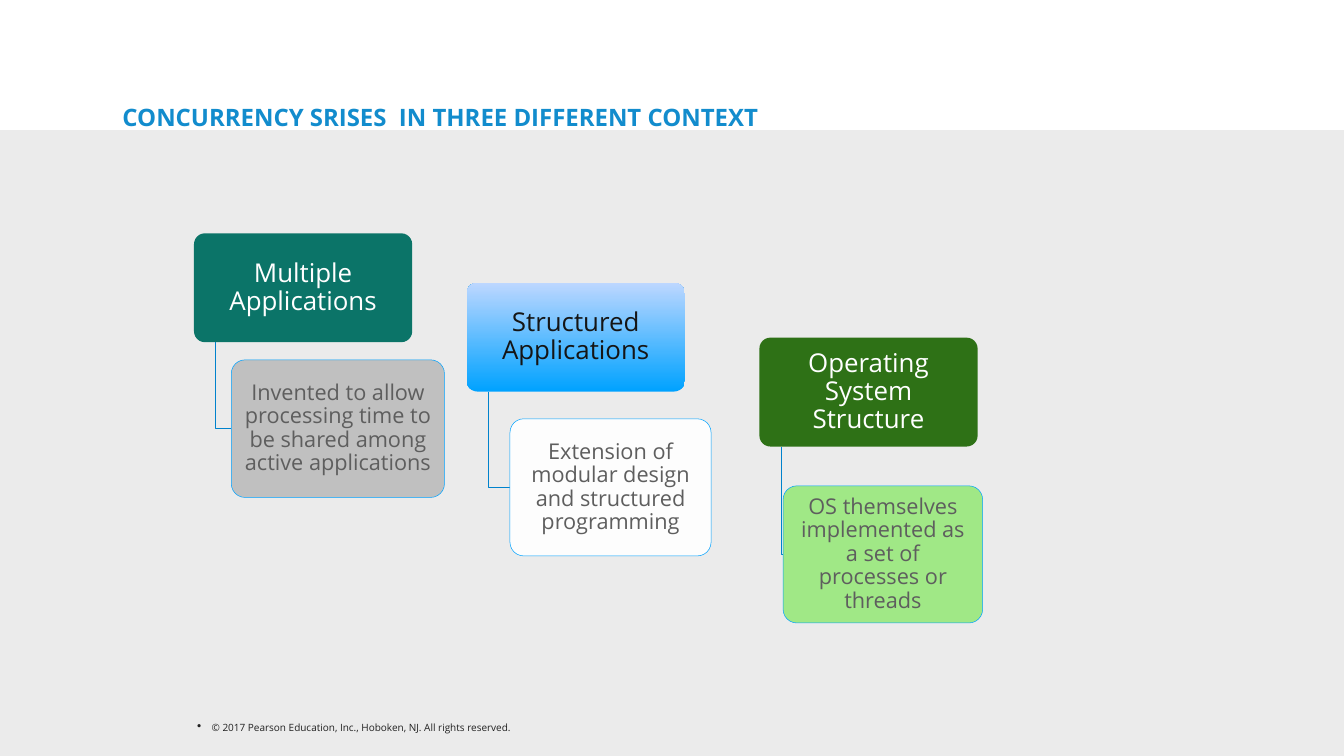
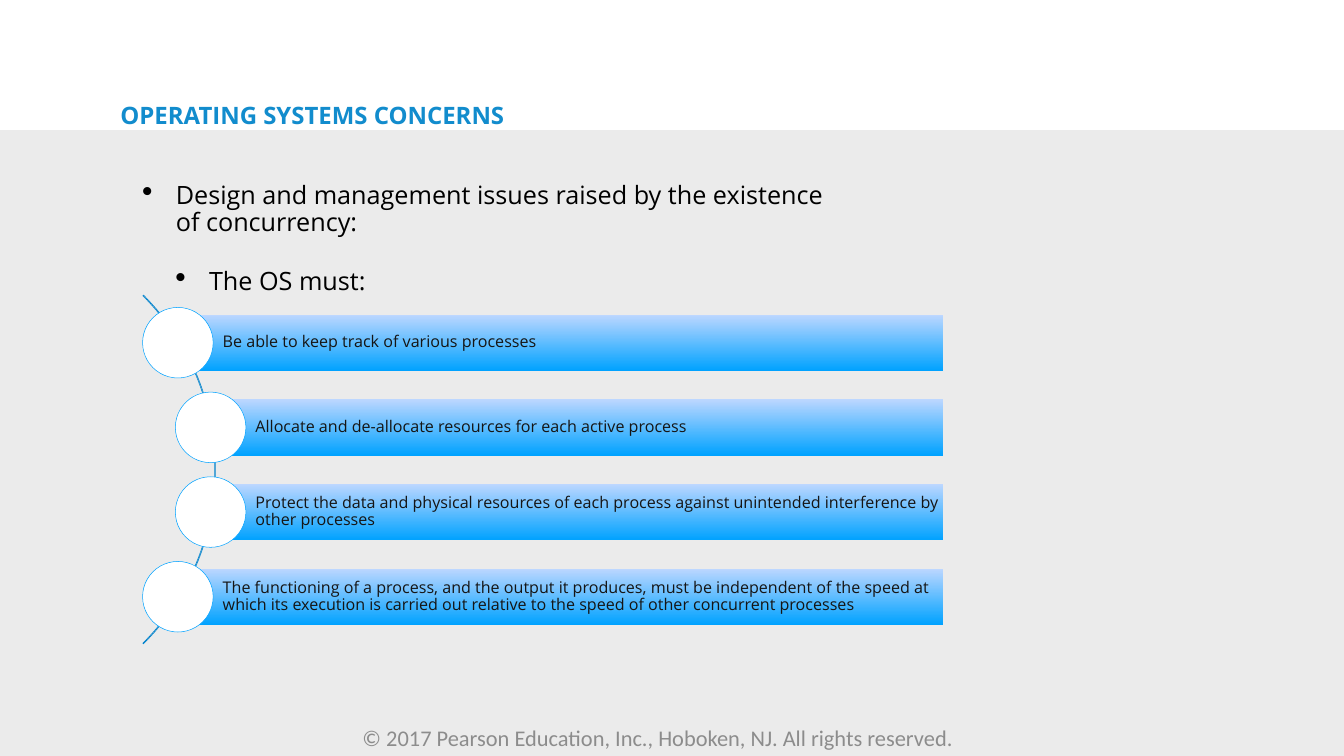
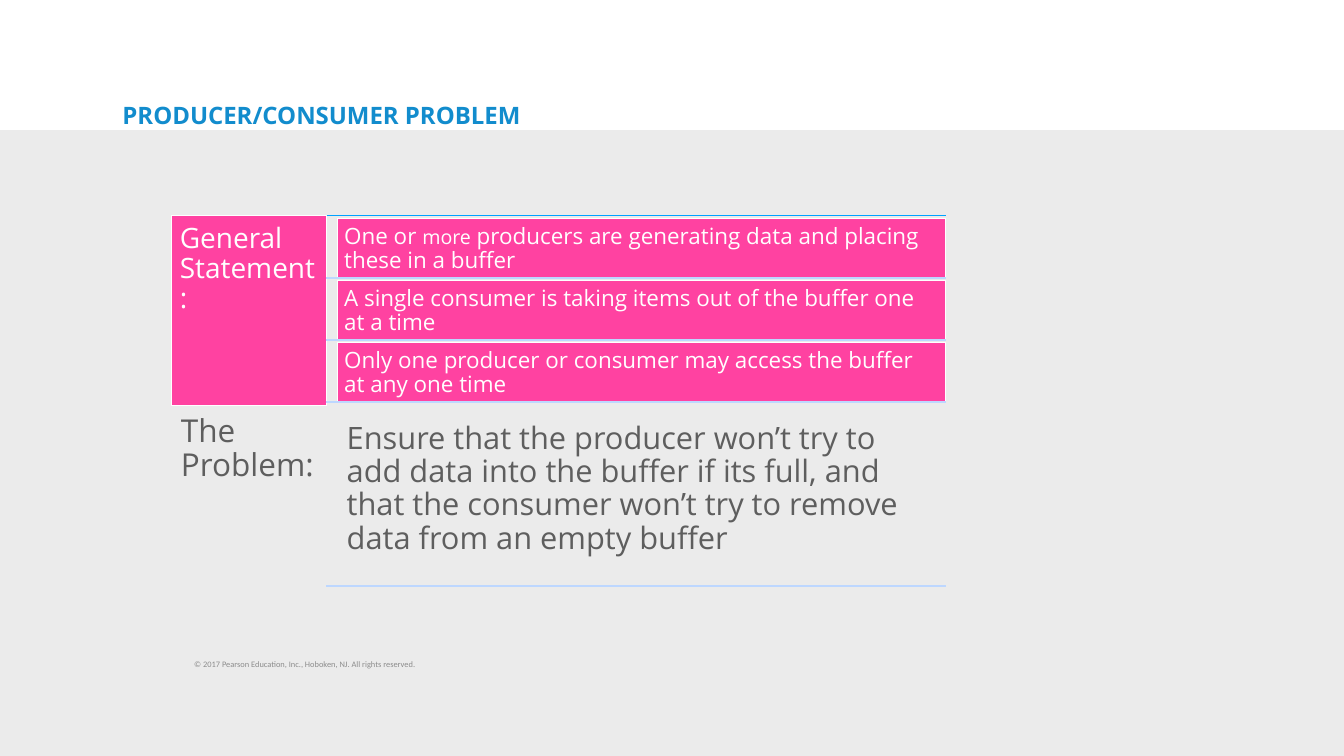
from dataclasses import dataclass

from lxml.etree import SubElement as Sub
from pptx import Presentation
from pptx.dml.color import RGBColor as RGB
from pptx.enum.shapes import MSO_CONNECTOR as Link, MSO_SHAPE as Kind
from pptx.enum.text import MSO_ANCHOR as Anchor, PP_ALIGN as Align
from pptx.oxml.ns import qn
from pptx.util import Pt

PX = 9144  # EMU, 100 px to the inch
WIDE, HIGH = 2667, 1500


@dataclass(frozen=True)
class Theme:
    font: str = "Open Sans"
    plain: str = "Calibri"
    white: str = "FFFFFF"
    black: str = "000000"
    ink: str = "151515"
    note: str = "212121"
    soft: str = "5E5E5E"
    dim: str = "8C8C8C"
    panel: str = "EBEBEB"
    title: str = "128CCD"
    edge: str = "00A2FF"
    pale: str = "BDD7FF"
    wire: str = "0082CC"
    teal: str = "0B7468"
    grey: str = "C0C0C0"
    green: str = "2E7116"
    lime: str = "A0E886"
    pink: str = "FF42A1"
    head_size: float = 34.2
    topic: int = 37
    detail: int = 31
    body: int = 36
    step: int = 23
    fact: int = 32
    thin: float = 0.75
    rule: float = 2


T = Theme()
BLEND = (T.edge, T.pale)
RIGHTS = "© 2017 Pearson Education, Inc., Hoboken, NJ. All rights reserved."


def px(*vals):
    return [int(v * PX) for v in vals]


def apply(item, fmt):
    for name, val in fmt.items():
        setattr(item, name, val)


class Deck:
    def __init__(self):
        self.prs = Presentation()
        self.prs.slide_width, self.prs.slide_height = px(WIDE, HIGH)

    def page(self, title, left, top):
        """Start a slide with the grey panel and its title."""
        self.slide = self.prs.slides.add_slide(self.prs.slide_layouts[6])
        self.shapes = self.slide.shapes
        self.shape(Kind.RECTANGLE, (0, 258, WIDE, HIGH - 258), T.panel)
        self.text((left, top, 1609, 56), title, T.head_size, T.title,
                  bold=True, pad=(6, 6), space=0.8)

    def paint(self, item, fill, line, width=T.thin):
        """Fill with nothing, one colour or a (bottom, top) blend."""
        if fill is None:
            item.fill.background()
        elif isinstance(fill, tuple):
            item.fill.gradient()
            item.fill.gradient_angle = 90
            for stop, hue, pos in zip(item.fill.gradient_stops, fill, (0, 1)):
                stop.color.rgb = RGB.from_string(hue)
                stop.position = pos
        else:
            item.fill.solid()
            item.fill.fore_color.rgb = RGB.from_string(fill)
        if line:
            item.line.color.rgb = RGB.from_string(line)
            item.line.width = Pt(width)
        else:
            item.line.fill.background()
        item.shadow.inherit = False

    def shape(self, kind, at, fill=None, line=None, adj=()):
        item = self.shapes.add_shape(kind, *px(*at))
        for i, val in enumerate(adj):
            item.adjustments[i] = val
        self.paint(item, fill, line)
        return item

    def fade(self, item, part):
        """Make a solid fill partly see-through."""
        hue = item._element.spPr.find(qn("a:solidFill"))[0]
        Sub(hue, qn("a:alpha"), val=str(part * 1000))

    def label(self, item, parts, size, hue, bold=False, font=T.font,
              pad=(10, 5), left=None, space=0.9, align=Align.LEFT,
              anchor=Anchor.TOP):
        """Set one paragraph; parts is a string or (string, size) pairs."""
        side, tall = px(*pad)
        apply(item.text_frame, {
            "word_wrap": True, "vertical_anchor": anchor,
            "margin_left": side if left is None else left * PX,
            "margin_right": side, "margin_top": tall, "margin_bottom": tall})
        self.fill_par(item.text_frame.paragraphs[0], parts, size, hue,
                      bold, font, space, align)

    def fill_par(self, par, parts, size, hue, bold=False, font=T.font,
                 space=0.9, align=Align.LEFT):
        apply(par, {"alignment": align, "line_spacing": space})
        if isinstance(parts, str):
            parts = [(parts, size)]
        for words, pts in parts:
            run = par.add_run()
            run.text = words
            apply(run.font, {"name": font, "size": Pt(pts), "bold": bold})
            run.font.color.rgb = RGB.from_string(hue)

    def text(self, at, parts, size, hue, **fmt):
        item = self.shapes.add_textbox(*px(*at))
        self.label(item, parts, size, hue, **fmt)
        return item

    def bullet(self, par, left, hang):
        props = par._p.get_or_add_pPr()
        props.set("marL", str(left * PX))
        props.set("indent", str(-hang * PX))
        Sub(props, qn("a:buSzPct"), val="123000")
        Sub(props, qn("a:buChar"), char="•")

    def foot(self, at, size):
        self.text(at, RIGHTS, size, T.dim, font=T.plain, space=1.0,
                  align=Align.CENTER, anchor=Anchor.MIDDLE)

    def elbow(self, x, top, end, low):
        """Draw a line down from a topic and across to its detail."""
        trace = self.shapes.build_freeform(x, top, scale=PX)
        trace.add_line_segments([(x, low), (end, low)], close=False)
        self.paint(trace.convert_to_shape(), None, T.wire)

    def line(self, left, right, y, hue, width):
        item = self.shapes.add_connector(
            Link.STRAIGHT, *px(left, y, right, y))
        item.line.color.rgb = RGB.from_string(hue)
        item.line.width = Pt(width)
        Sub(item._element.spPr, qn("a:effectLst"))


def contexts(deck):
    deck.page("CONCURRENCY SRISES  IN THREE DIFFERENT CONTEXT", 237, 208)
    foot = deck.text((385, 1430, 657, 40), RIGHTS, 14.3, T.note,
                     pad=(6, 6), space=0.8)
    deck.bullet(foot.text_frame.paragraphs[0], 29, 29)
    wide, high = 433, 216
    mid = {"align": Align.CENTER, "anchor": Anchor.MIDDLE}
    topics = [
        ("Multiple Applications", (385, 463), T.teal, T.white,
         "Invented to allow processing time to be shared among active "
         "applications", (459, 714, 423, 273), T.grey),
        ("Structured Applications", (926, 561), BLEND, T.ink,
         "Extension of modular design and structured programming",
         (1012, 831, 399, 272), T.white),
        ("Operating System Structure", (1507, 670), T.green, T.white,
         "OS themselves implemented as a set of processes or threads",
         (1554, 964, 396, 272), T.lime),
    ]
    for name, (x, y), fill, hue, about, at, tint in topics:
        head = deck.shape(Kind.ROUNDED_RECTANGLE, (x, y, wide, high), fill,
                          adj=[0.1])
        deck.label(head, name, T.topic, hue, pad=(14, 11), **mid)
        deck.elbow(x + wide // 10, y + high, at[0], at[1] + at[3] // 2)
        card = deck.shape(Kind.ROUNDED_RECTANGLE, at, tint, T.edge, [0.1])
        if tint == T.white:
            deck.fade(card, 90)
        deck.label(card, about, T.detail, T.soft, pad=(14, 12), **mid)


def concerns(deck):
    deck.page("OPERATING SYSTEMS CONCERNS", 233, 205)
    deck.foot((189, 1426, 2233, 74), 32)
    intro = deck.text(
        (272, 358, 1395, 415),
        "Design and management issues raised by the existence of "
        "concurrency:", T.body, T.black)
    first = intro.text_frame.paragraphs[0]
    deck.bullet(first, 67, 67)
    must = intro.text_frame.add_paragraph()
    apply(must, {"level": 1, "space_before": Pt(45)})
    deck.bullet(must, 133, 67)
    deck.fill_par(must, "The OS must:", T.body, T.black)

    deck.shape(Kind.BLOCK_ARC, (-551, 442, 979, 979), None, T.wire,
               [189, 27, 0.002])
    steps = [
        (353, "Be able to keep track of various processes"),
        (418, "Allocate and de-allocate resources for each active process"),
        (418, "Protect the data and physical resources of each process "
              "against unintended interference by other processes"),
        (353, "The functioning of a process, and the output it produces, "
              "must be independent of the speed at which its execution is "
              "carried out relative to the speed of other concurrent "
              "processes"),
    ]
    right, high, dot = 1871, 112, 140
    for i, (x, words) in enumerate(steps):
        y = 624 + 168 * i
        bar = deck.shape(Kind.RECTANGLE, (x, y, right - x, high), BLEND)
        deck.label(bar, words, T.step, T.ink, pad=(6, 6), left=89,
                   anchor=Anchor.MIDDLE)
        deck.shape(Kind.OVAL, (x - dot // 2, y - (dot - high) // 2, dot, dot),
                   T.white, T.edge)


def problem(deck):
    deck.page("PRODUCER/CONSUMER PROBLEM", 237, 205)
    deck.foot((71, 1274, 1068, 88), 12)
    left, split, right, top = 340, 647, 1877, 428
    high, col, wide = 376, 670, 1206
    deck.line(left, right, top, T.edge, T.thin)
    side = deck.shape(Kind.RECTANGLE, (left, top, split - left, high),
                      T.pink, T.white)
    deck.label(side, "General Statement:", 40, T.white, pad=(17, 17))
    facts = [
        [("One or ", T.fact), ("more", 28),
         (" producers are generating data and placing these in a buffer",
          T.fact)],
        "A single consumer is taking items out of the buffer one at a time",
        "Only one producer or consumer may access the buffer at any one time",
    ]
    for i, parts in enumerate(facts):
        y = top + 6 + 123 * i
        row = deck.shape(Kind.RECTANGLE, (col, y, wide, 117), T.pink, T.white)
        deck.label(row, parts, T.fact, T.white, pad=(13, 13))
        deck.line(split, right, y + 118, T.pale, T.rule)
    deck.text((left, top + high, split - left, high), "The Problem:", 45,
              T.soft, pad=(19, 19))
    deck.text((col, 821, wide, 341),
              "Ensure that the producer won’t try to add data into the buffer "
              "if its full, and that the consumer won’t try to remove data "
              "from an empty buffer", 44, T.soft, pad=(18, 18))
    deck.line(split, right, 1163, T.pale, T.rule)


def main():
    deck = Deck()
    for build in (contexts, concerns, problem):
        build(deck)
    deck.prs.save("out.pptx")


if __name__ == "__main__":
    main()
